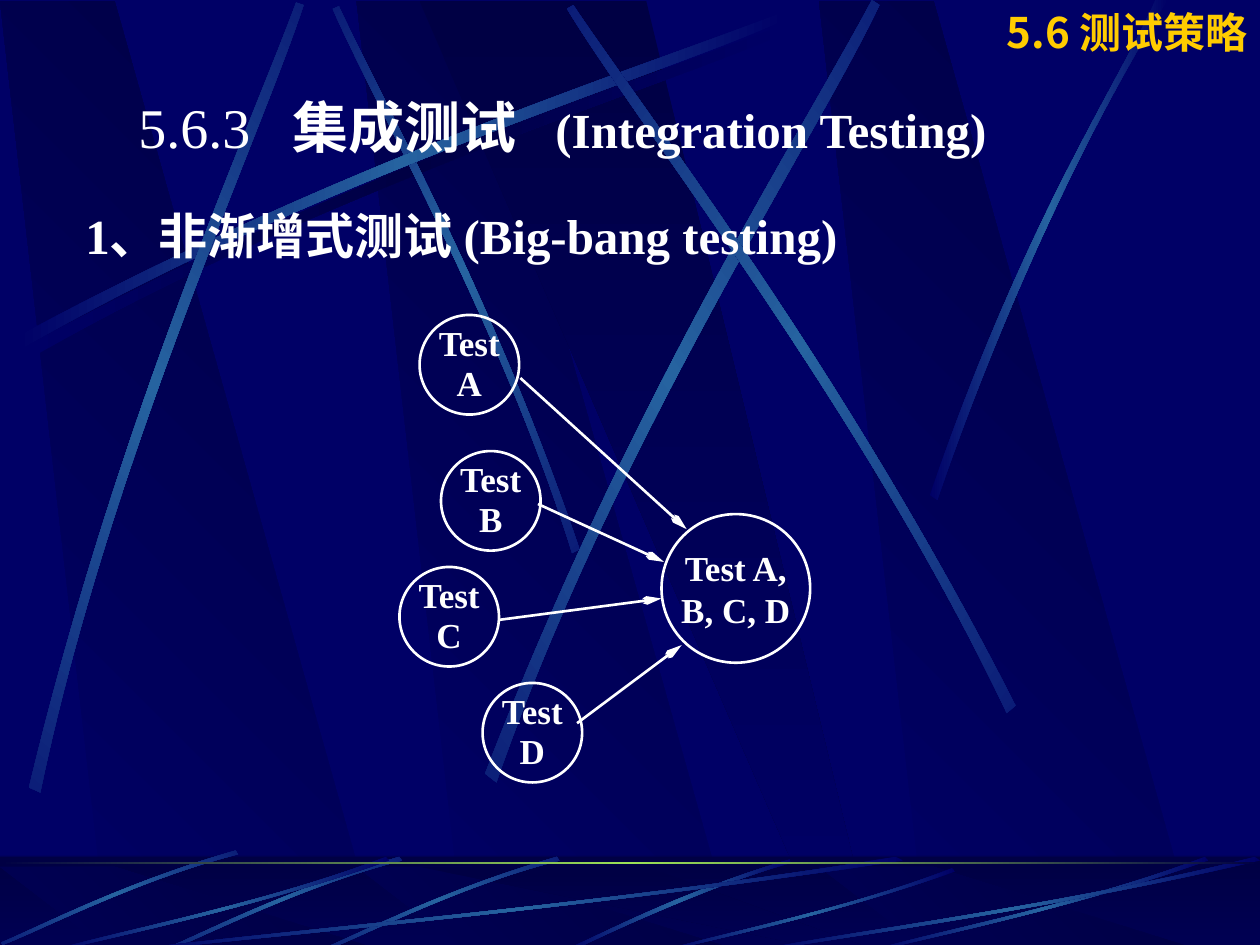
from math import cos, radians, sin

from pptx import Presentation
from pptx.dml.color import RGBColor
from pptx.enum.shapes import MSO_CONNECTOR, MSO_SHAPE
from pptx.enum.text import MSO_ANCHOR, PP_ALIGN
from pptx.oxml import parse_xml
from pptx.oxml.ns import nsdecls, qn
from pptx.util import Cm, Pt

OVAL, RECT = MSO_SHAPE.OVAL, MSO_SHAPE.RECTANGLE
LINE = MSO_CONNECTOR.STRAIGHT
LEFT, CENTER, RIGHT = PP_ALIGN.LEFT, PP_ALIGN.CENTER, PP_ALIGN.RIGHT
TOP, MIDDLE = MSO_ANCHOR.TOP, MSO_ANCHOR.MIDDLE

HEX = {"navy": "000066", "dark": "000044", "blue": "2663A0",
       "lime": "9CE157", "white": "FFFFFF", "gold": "FFCC00"}
SERIF, SANS = "Times New Roman", "Noto Sans CJK SC"
WIDE, HIGH = 10, 7.5  # slide size in inches
FADE = ("navy", "blue", "navy")

# Each streak has two edges, each a cubic curve of four points
SWEEP = [(0.14, 2.67), (2.78, 1.25), (5.18, 0.51), (6.2, 0.1),
         (6.23, 0.16), (5.22, 0.61), (2.48, 1.43), (0.17, 2.77)]
TILT = [(4.6, 4.36), (3.91, 2.34), (3.02, 0.77), (2.69, 0.05),
        (2.64, 0.07), (2.95, 0.79), (3.98, 2.58), (4.54, 4.39)]
# Steep streaks by their turn in degrees
STEEP = {
    311.7: [(0.23, 6.25), (0.93, 3.34), (1.97, 1.05), (2.35, 0.02),
            (2.41, 0.04), (2.07, 1.08), (0.86, 3.68), (0.32, 6.29)],
    321.6: [(3.85, 6.14), (4.98, 3.2), (6.38, 1.02), (6.92, 0),
            (6.98, 0.04), (6.49, 1.08), (4.86, 3.55), (3.94, 6.21)],
    34.8: [(8.06, 5.6), (6.7, 2.93), (5.16, 0.95), (4.55, 0.04),
           (4.5, 0.07), (5.07, 1.01), (6.85, 3.25), (7.99, 5.66)],
}
EDGE = [(7.38, 3.93), (8.14, 1.73), (8.88, 0.66), (9.17, 0),
        (9.27, 0), (8.36, 1.45), (7.69, 3.22), (7.44, 3.97)]
ARC = [(6.27, 6.82), (5.37, 7.09), (4.77, 7.42), (4.48, 7.54),
       (4.53, 7.55), (4.9, 7.37), (5.71, 7), (6.28, 6.85)]
DASH = [(4.42, 6.8), (3.55, 7.05), (2.87, 7.4), (2.56, 7.53),
        (2.57, 7.55), (2.88, 7.43), (3.65, 7.03), (4.44, 6.83)]
# Floor streak in fractions of its box, and the boxes it fills
FLOOR = [(1, 0.04), (0.57, 0.57), (0.17, 0.85), (0.01, 1),
         (0, 0.99), (0.16, 0.81), (0.62, 0.51), (0.99, 0)]
BOXES = [(1, 6.8, 6.17, 0.75), (0.42, 6.8, 2.67, 0.75), (5.27, 6.89, 2.31, 0.66),
         (6.92, 6.8, 2.67, 0.75), (6, 6.8, 4, 0.75)]

# Test circles, and the arrows that lead to the joint test
UNITS = [("A", 3.33, 2.5), ("B", 3.5, 3.58), ("C", 3.17, 4.5), ("D", 3.83, 5.42)]
LINKS = [(4.13, 3, 5.45, 4.2), (4.27, 4, 5.27, 4.46),
         (3.96, 4.92, 5.25, 4.75), (4.58, 5.74, 5.41, 5.12)]


def size(inch):
    return Cm(inch * 2.54)


def sizes(*inches):
    return [size(inch) for inch in inches]


def rgb(name):
    return RGBColor.from_string(HEX[name])


def blend(shape, names, angle):
    """Fill a shape with an even gradient; the angle runs clockwise."""
    stops = "".join(
        f'<a:gs pos="{100000 * i // (len(names) - 1)}"><a:srgbClr val="{HEX[name]}"/></a:gs>'
        for i, name in enumerate(names))
    shape.fill.solid()
    old = shape._element.spPr.find(qn("a:solidFill"))
    old.getparent().replace(old, parse_xml(
        f'<a:gradFill {nsdecls("a")} rotWithShape="1"><a:gsLst>{stops}</a:gsLst>'
        f'<a:lin ang="{angle * 60000}" scaled="0"/></a:gradFill>'))
    shape.line.fill.background()
    shape.shadow.inherit = False


def patch(slide, points, names, angle=0):
    spots = [sizes(*point) for point in points]
    form = slide.shapes.build_freeform(*spots[0], scale=1.0)
    form.add_line_segments(spots[1:], close=True)
    shape = form.convert_to_shape()
    blend(shape, names, angle)
    return shape


def spin(x, y, turn):
    c, s = cos(radians(turn)), sin(radians(turn))
    return x * c - y * s, x * s + y * c


def level(points, turn):
    """Turn points back about the centre that their shape will have."""
    flat = [spin(x, y, -turn) for x, y in points]
    ends = [flat[i] for i in (0, 3, 4, 7)]
    mid = [(min(axis) + max(axis)) / 2 for axis in zip(*ends)]
    home = spin(*mid, turn)
    return shift(flat, home[0] - mid[0], home[1] - mid[1])


def streak(slide, points, names=FADE, turn=0):
    points = level(points, turn)
    shape = patch(slide, [points[i] for i in (0, 3, 4, 7)], names)
    shape.rotation = turn
    # Bend the two long sides
    dots = [f'<a:pt x="{size(x) - shape.left}" y="{size(y) - shape.top}"/>'
            for x, y in points]
    track = next(shape._element.iter(qn("a:path")))
    track.getparent().replace(track, parse_xml(
        f'<a:path {nsdecls("a")} w="{shape.width}" h="{shape.height}">'
        f'<a:moveTo>{dots[0]}</a:moveTo>'
        f'<a:cubicBezTo>{"".join(dots[1:4])}</a:cubicBezTo>'
        f'<a:lnTo>{dots[4]}</a:lnTo>'
        f'<a:cubicBezTo>{"".join(dots[5:])}</a:cubicBezTo><a:close/></a:path>'))


def shift(points, dx, dy=0):
    return [(x + dx, y + dy) for x, y in points]


def bar(slide, top, high, names, angle):
    shape = slide.shapes.add_shape(RECT, *sizes(0, top, WIDE, high))
    blend(shape, names, angle)
    return shape


def beams(slide, top, low):
    """Three slanted dark beams and one wider wedge."""
    for x in (2.83, 0, 6.5):
        patch(slide, [(x + 0.86, low), (x + 3.02, low), (x + 0.91, top), (x, top)],
              ("navy", "dark"), 315)
    patch(slide, [(3.33, top), (6.58, low), (6.94, low), (5.13, top)],
          ("dark", "navy"), 90)


def write(frame, text, pts=20, font=SERIF, color="white", bold=True,
          align=LEFT, anchor=TOP, wrap=True, lead=None, tabs=()):
    """Each line is a string, or a list of (text, points, bold) runs."""
    frame.word_wrap, frame.vertical_anchor = wrap, anchor
    for i, row in enumerate(text):
        para = frame.add_paragraph() if i else frame.paragraphs[0]
        para.alignment, para.line_spacing = align, lead
        if tabs:
            stops = "".join(f'<a:tab pos="{pos}" algn="l"/>' for pos in tabs)
            para._p.get_or_add_pPr().append(
                parse_xml(f'<a:tabLst {nsdecls("a")}>{stops}</a:tabLst>'))
        for part, high, heavy in [(row, pts, bold)] if isinstance(row, str) else row:
            run = para.add_run()
            run.text = part
            run.font.name, run.font.size, run.font.bold = font, Pt(high), heavy
            run.font.color.rgb = rgb(color)
            run._r.rPr.append(parse_xml(f'<a:ea {nsdecls("a")} typeface="{SANS}"/>'))


def label(slide, box, text, **form):
    write(slide.shapes.add_textbox(*sizes(*box)).text_frame, text, **form)


def ring(slide, x, y, wide, text, lead=None):
    shape = slide.shapes.add_shape(OVAL, *sizes(x, y, wide, wide))
    shape.fill.background()
    shape.line.color.rgb, shape.line.width = rgb("white"), Pt(1.5)
    shape.shadow.inherit = False
    write(shape.text_frame, text, align=CENTER, anchor=MIDDLE, wrap=False, lead=lead)


def arrow(slide, ends):
    link = slide.shapes.add_connector(LINE, *sizes(*ends))
    link.line.color.rgb, link.line.width = rgb("white"), Pt(1.5)
    link.line._get_or_add_ln().append(
        parse_xml(f'<a:tailEnd {nsdecls("a")} type="arrow" w="sm" len="lg"/>'))
    link._element.spPr.append(parse_xml(f'<a:effectLst {nsdecls("a")}/>'))


def scene(slide):
    # Sky
    beams(slide, 0.01, 7.52)
    streak(slide, shift(SWEEP, 0.06, 0.08), ("navy", "dark", "navy"))
    streak(slide, TILT, turn=45)
    streak(slide, SWEEP)
    for turn, points in STEEP.items():
        streak(slide, points, turn=turn)
    streak(slide, EDGE)
    # Floor
    bar(slide, 6.8, 0.75, ("dark", "navy"), 90)
    beams(slide, 6.88, 7.54)
    veil = bar(slide, 6.79, 0.75, ("dark", "dark"), 0)
    veil.fill.solid()
    veil.fill.fore_color.rgb = rgb("dark")
    tint = next(veil._element.spPr.iter(qn("a:srgbClr")))
    tint.append(parse_xml(f'<a:alpha {nsdecls("a")} val="50000"/>'))
    streak(slide, ARC)
    for dx, dy in ((0, 0), (-1.25, 0), (-2.55, -0.05)):
        streak(slide, shift(DASH, dx, dy), turn=314.9)
    for x, y, wide, high in BOXES:
        streak(slide, [(x + wide * u, y + high * v) for u, v in FLOOR])
    bar(slide, 6.84, 0.02, ("dark", "lime", "dark"), 0)


def main():
    deck = Presentation()
    deck.slide_width, deck.slide_height = sizes(WIDE, HIGH)
    slide = deck.slides.add_slide(deck.slide_layouts[6])
    slide.background.fill.solid()
    slide.background.fill.fore_color.rgb = rgb("navy")
    scene(slide)
    # Headings
    title = [("5.6.3\t", 32, False), ("集成测试\t", 32, True),
             ("(Integration Testing)", 28, True)]
    label(slide, (1, 0.75, 7.92, 0.5), [title], anchor=MIDDLE, tabs=sizes(1.22, 3.31))
    label(slide, (0.58, 1.58, 6.75, 0.57), ["1、非渐增式测试 (Big-bang testing)"], pts=28)
    # Diagram
    ring(slide, 5.25, 4.08, 1.18, ["Test A,", "B, C, D"])
    for name, x, y in UNITS:
        ring(slide, x, y, 0.79, ["Test", name], lead=0.95)
    for ends in LINKS:
        arrow(slide, ends)
    # Section mark
    label(slide, (7.67, 0, 2.33, 0.9), ["5.6 测试策略"], pts=24, font=SANS,
          color="gold", align=RIGHT)
    deck.save("out.pptx")


if __name__ == "__main__":
    main()
